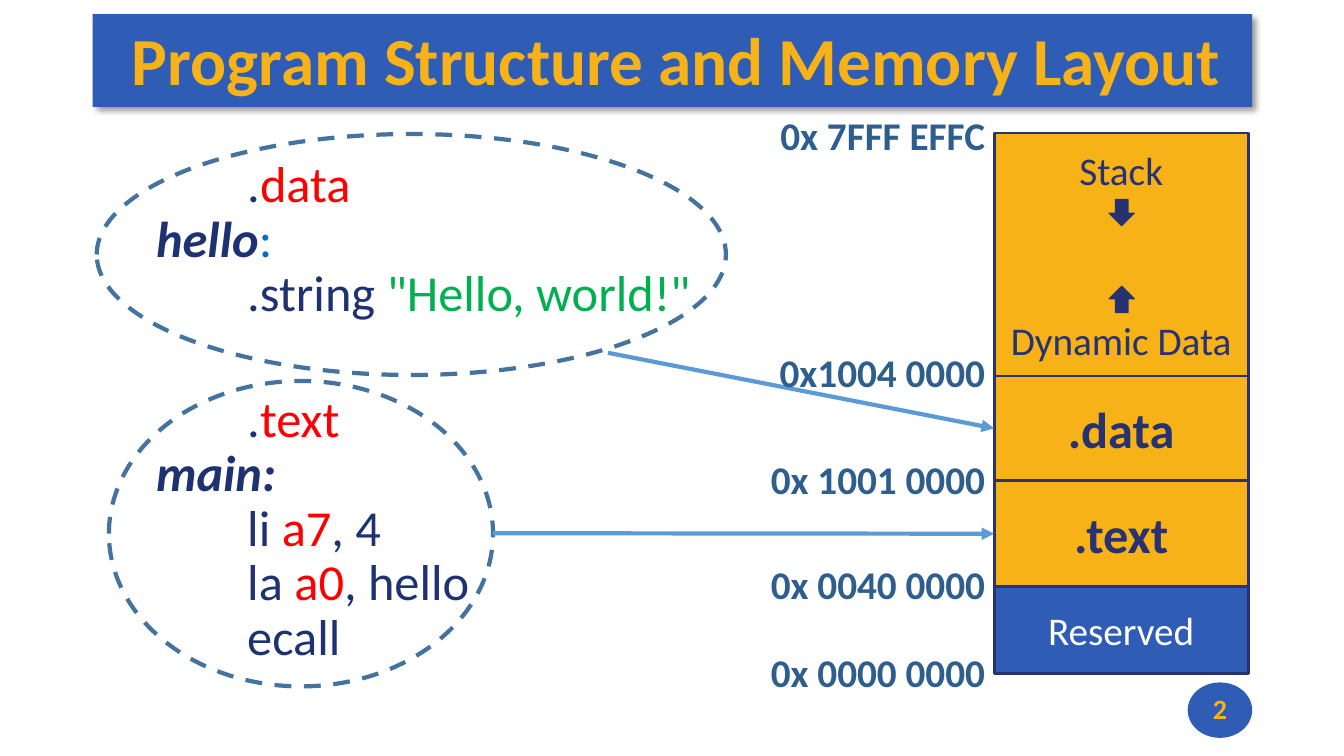
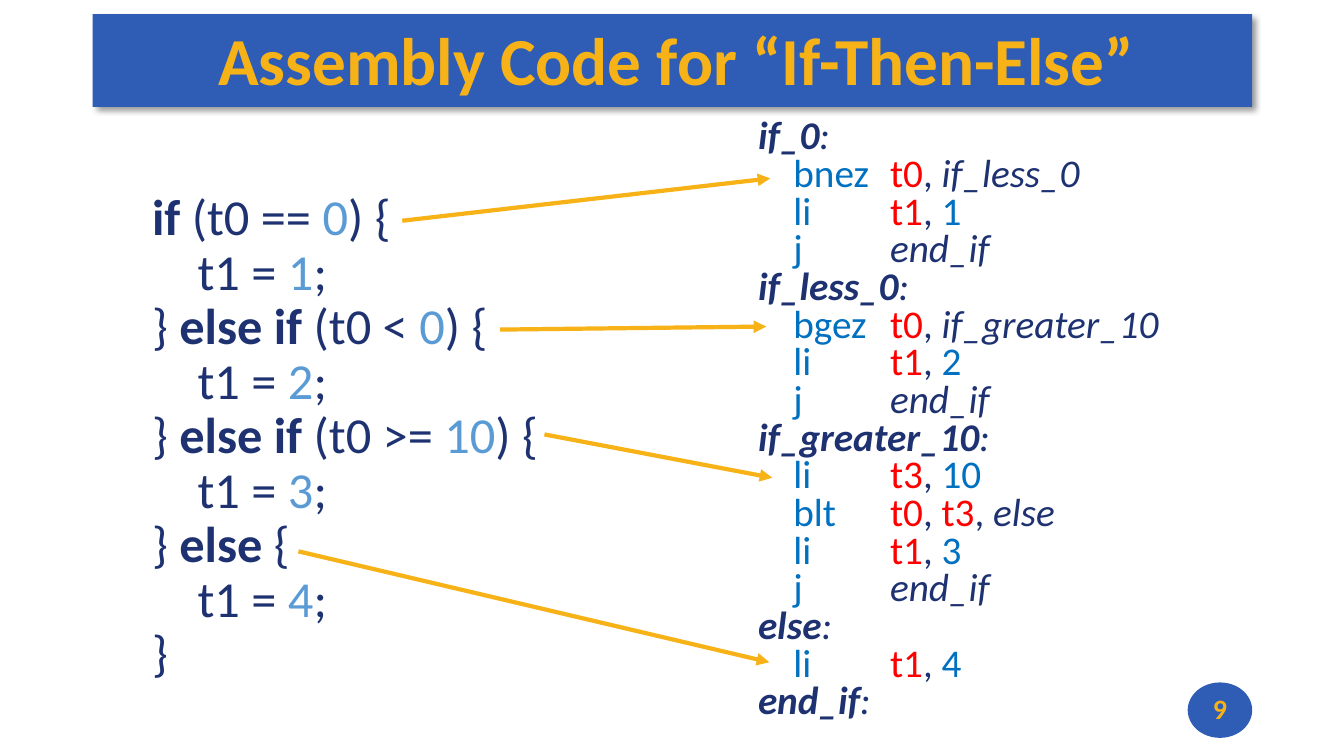
from itertools import pairwise

from lxml import etree
from pptx import Presentation
from pptx.dml.color import RGBColor
from pptx.enum.dml import MSO_LINE
from pptx.enum.shapes import MSO_CONNECTOR, MSO_SHAPE
from pptx.enum.text import MSO_ANCHOR, PP_ALIGN
from pptx.oxml.ns import qn
from pptx.util import Inches, Pt

RECT, OVAL = MSO_SHAPE.RECTANGLE, MSO_SHAPE.OVAL
DOWN, UP = MSO_SHAPE.DOWN_ARROW, MSO_SHAPE.UP_ARROW
STRAIGHT, DASH = MSO_CONNECTOR.STRAIGHT, MSO_LINE.DASH
LEFT, CENTER, RIGHT = PP_ALIGN.LEFT, PP_ALIGN.CENTER, PP_ALIGN.RIGHT
TOP, MIDDLE = MSO_ANCHOR.TOP, MSO_ANCHOR.MIDDLE

FONT = "Calibri"
COLORS = {
    "band": "2F5CB5", "gold": "F7B217", "edge": "273272", "address": "2E5E8E",
    "ring": "43739E", "sky": "5B9BD5", "code": "1E3272", "red": "FF0000",
    "blue": "0070C0", "green": "00B050", "white": "FFFFFF", "black": "000000",
}
# Run style: colour, bold, italic
STYLES = {
    "label": ("code", True, True), "key": ("code", True, False),
    "name": ("code", False, True), "red": ("red", False, False),
    "blue": ("blue", False, False), "sky": ("sky", False, False),
    "green": ("green", False, False),
}


def rgb(name):
    return RGBColor.from_string(COLORS[name])


def write(frame, paras, size, color, bold=False, align=LEFT, anchor=TOP,
          pads=(0.1, 0.05, 0.1, 0.05), pitch=None, gaps=(), tab=None):
    """Fill a frame; a run is a string or a (string, style) pair.

    gaps maps a paragraph index to the points before it.
    """
    frame.word_wrap = True
    frame.vertical_anchor = anchor
    (frame.margin_left, frame.margin_top,
     frame.margin_right, frame.margin_bottom) = map(Inches, pads)
    before = dict(gaps)
    for i, runs in enumerate(paras):
        para = frame.add_paragraph() if i else frame.paragraphs[0]
        para.alignment = align
        if pitch:
            para.line_spacing = pitch
        if i in before:
            para.space_before = Pt(before[i])
        if tab:
            stops = etree.SubElement(para._p.get_or_add_pPr(), qn("a:tabLst"))
            etree.SubElement(stops, qn("a:tab"), pos=str(Inches(tab)), algn="l")
        for item in [runs] if isinstance(runs, str) else runs:
            words, style = (item, None) if isinstance(item, str) else item
            tint, heavy, slant = STYLES.get(style, (color, bold, False))
            run = para.add_run()
            run.text = words
            font = run.font
            font.name, font.size = FONT, Pt(size)
            font.bold, font.italic = heavy, slant
            font.color.rgb = rgb(tint)


class Deck:
    def __init__(self):
        self.prs = Presentation()
        self.prs.slide_width, self.prs.slide_height = Inches(13.33), Inches(7.5)
        self.slide = None

    def start(self, title, number):
        """Add a slide with its title band and number badge."""
        self.slide = self.prs.slides.add_slide(self.prs.slide_layouts[6])
        band = self.shape(RECT, 0.92, 0.14, 11.5, 0.92, fill="band")
        self.shade(band)
        write(band.text_frame, [title], 48, "gold", bold=True, align=CENTER,
              anchor=MIDDLE, pads=(0.08, 0.03, 0, 0.07))
        badge = self.shape(OVAL, 11.78, 6.77, 0.64, 0.55, fill="band")
        write(badge.text_frame, [str(number)], 20, "gold", bold=True,
              align=CENTER, anchor=MIDDLE, pads=(0, 0, 0, 0.03))

    def shade(self, shape):
        """Give a shape the soft shadow of the title band."""
        effects = shape._element.spPr.find(qn("a:effectLst"))
        outer = etree.SubElement(
            effects, qn("a:outerShdw"), blurRad=str(Pt(4)), dist=str(Pt(3)),
            dir=str(45 * 60000), algn="tl", rotWithShape="0")
        tint = etree.SubElement(outer, qn("a:srgbClr"), val=COLORS["black"])
        etree.SubElement(tint, qn("a:alpha"), val="40000")

    def shape(self, kind, x, y, w, h, fill=None, line=None, width=2, dash=None):
        shape = self.slide.shapes.add_shape(kind, *map(Inches, (x, y, w, h)))
        if fill:
            shape.fill.solid()
            shape.fill.fore_color.rgb = rgb(fill)
        else:
            shape.fill.background()
        if line:
            shape.line.color.rgb = rgb(line)
            shape.line.width = Pt(width)
            shape.line.dash_style = dash
        else:
            shape.line.fill.background()
        shape.shadow.inherit = False
        return shape

    def text(self, x, y, w, h, paras, size, color, **style):
        box = self.slide.shapes.add_textbox(*map(Inches, (x, y, w, h)))
        write(box.text_frame, paras, size, color, **style)

    def arrow(self, start, end, color, goal=None):
        """Draw an arrow, joined to the left side of goal if one is given."""
        link = self.slide.shapes.add_connector(
            STRAIGHT, *map(Inches, (*start, *end)))
        if goal is not None:
            link.end_connect(goal, 1)
        link.line.color.rgb = rgb(color)
        link.line.width = Pt(3)
        etree.SubElement(link.line._get_or_add_ln(), qn("a:tailEnd"),
                         type="triangle")
        etree.SubElement(link._element.spPr, qn("a:effectLst"))


def op(name, *args):
    """One assembly line: indented opcode, then operands at the tab stop."""
    return ["    ", (name + "\t", "blue"), *args]


def load(reg, value):
    return op("li", (reg, "red"), ", ", (value, "blue"))


def mark(name):
    return [(name, "label"), (":", "name")]


def test(word, left, value):
    """The opening line of a branch of the if statement."""
    return [*word, left, (value, "sky"), ") {"]


def store(value):
    return ["    t1 = ", (value, "sky"), ";"]


def memory(deck):
    deck.start("Program Structure and Memory Layout", 2)

    edges = [1.32, 3.73, 4.77, 5.82, 6.68]
    parts = [
        (["Stack", "Dynamic Data"], 28, False, "gold", "edge"),
        ([".data"], 36, True, "gold", "edge"),
        ([".text"], 36, True, "gold", "edge"),
        (["Reserved"], 28, False, "band", "white"),
    ]
    blocks = []
    for (top, end), (words, size, bold, fill, color) in zip(pairwise(edges), parts):
        block = deck.shape(RECT, 9.86, top, 2.52, end - top, fill, "edge")
        write(block.text_frame, words, size, color, bold=bold, align=CENTER,
              anchor=MIDDLE, gaps={1: 88})
        blocks.append(block)
    for kind, y in (DOWN, 1.98), (UP, 2.84):
        deck.shape(kind, 11, y, 0.25, 0.26, "edge", "edge", 0.85)

    tab = "        "
    code = [
        [tab + ".", ("data", "red")],
        [("hello", "label"), (":", "blue")],
        [tab + ".string ", ('"Hello, world!"', "green")],
        [tab + ".", ("text", "red")],
        [("main:", "label")],
        [tab + "li ", ("a7", "red"), ", 4"],
        [tab + "la ", ("a0", "red"), ", hello"],
        [tab + "ecall"],
    ]
    deck.text(1.45, 1.53, 5.57, 5.18, code, 36, "code", pitch=0.9, gaps={3: 51})
    for ring in (0.96, 1.33, 6.24, 2.39), (1.08, 3.78, 3.81, 3.03):
        deck.shape(OVAL, *ring, line="ring", width=3, dash=DASH)
    deck.arrow((6.03, 3.5), (9.86, 4.25), "sky", blocks[1])
    deck.arrow((4.89, 5.29), (9.86, 5.29), "sky", blocks[2])

    for y, address in (
        (1.03, "0x 7FFF EFFC"), (3.38, "0x1004 0000"), (4.45, "0x 1001 0000"),
        (5.49, "0x 0040 0000"), (6.36, "0x 0000 0000"),
    ):
        deck.text(7.37, y, 2.4, 0.61, [address], 28, "address", bold=True,
                  align=RIGHT, anchor=MIDDLE, pads=(0.08, 0.03, 0, 0.03))


def branch(deck):
    deck.start("Assembly Code for “If-Then-Else”", 9)

    other = ["} ", ("else if ", "key")]
    source = [
        test([("if", "key")], " (t0 == ", "0"), store("1"),
        test(other, "(t0 < ", "0"), store("2"),
        test(other, "(t0 >= ", "10"), store("3"),
        ["} ", ("else", "key"), " {"], store("4"),
        "}",
    ]
    deck.text(1.41, 1.86, 4.08, 5.01, source, 36, "code", pitch=0.9)

    t0, t3 = ("t0", "red"), ("t3", "red")
    leave = op("j", ("end_if", "name"))
    target = [
        mark("if_0"),
        op("bnez", t0, ", ", ("if_less_0", "name")), load("t1", "1"), leave,
        mark("if_less_0"),
        op("bgez", t0, ", ", ("if_greater_10", "name")), load("t1", "2"), leave,
        mark("if_greater_10"),
        load("t3", "10"), op("blt", t0, ", ", t3, ", ", ("else", "name")),
        load("t1", "3"), leave,
        mark("else"), load("t1", "4"),
        mark("end_if"),
    ]
    deck.text(7.42, 1.14, 4.46, 6.13, target, 28, "code", pitch=0.8, tab=1.31)

    for start, end in (
        ((3.99, 2.19), (7.64, 1.77)), ((4.96, 3.27), (7.6, 3.24)),
        ((5.4, 4.31), (7.66, 4.74)), ((2.96, 5.47), (7.63, 6.57)),
    ):
        deck.arrow(start, end, "gold")


def main():
    deck = Deck()
    memory(deck)
    branch(deck)
    deck.prs.save("out.pptx")


if __name__ == "__main__":
    main()
